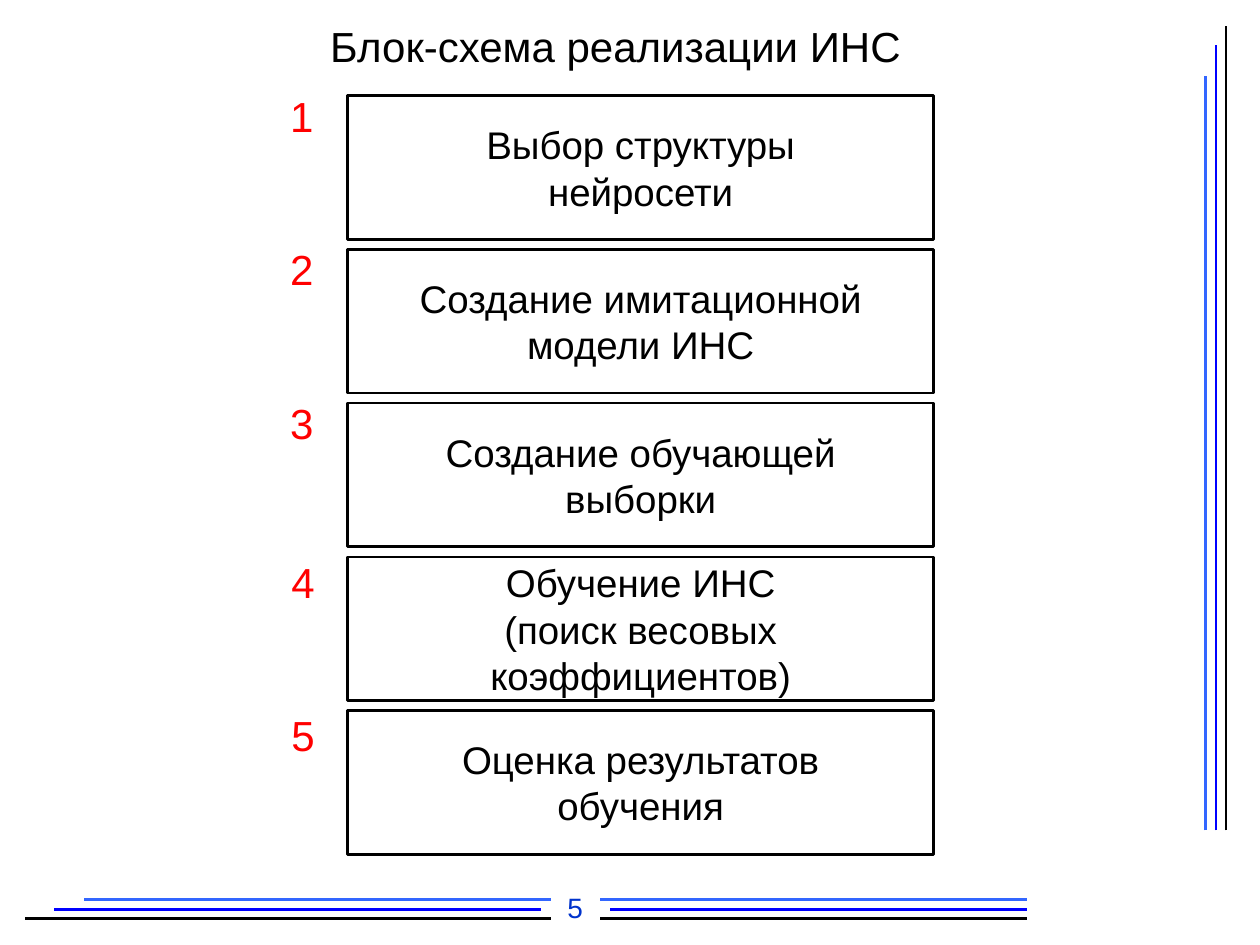
from dataclasses import dataclass

from lxml import etree
from pptx import Presentation
from pptx.dml.color import RGBColor
from pptx.enum.shapes import MSO_CONNECTOR, MSO_SHAPE
from pptx.enum.text import MSO_ANCHOR, PP_ALIGN
from pptx.oxml.ns import qn
from pptx.util import Inches, Pt


@dataclass(frozen=True)
class Theme:
    font: str = "Arial"
    ink: str = "000000"
    paper: str = "FFFFFF"
    number: str = "FF0000"
    page: str = "0033CC"
    stripes: tuple = ("000000", "0000FF", "3366FF")
    title_size: int = 24
    step_size: int = 22
    page_size: int = 16
    outline: float = 1.5
    footer_line: float = 1.75


THEME = Theme()

STEPS = [
    ["Выбор структуры", "нейросети"],
    ["Создание имитационной", "модели ИНС"],
    ["Создание обучающей", "выборки"],
    ["Обучение ИНС", "(поиск весовых", "коэффициентов)"],
    ["Оценка результатов", "обучения"],
]
NUMBER_OFFSETS = [(-0.67, -0.08)] * 3 + [(-0.66, -0.04)] * 2


def write_text(shape, lines, size, color, anchor=MSO_ANCHOR.MIDDLE, wrap=True):
    frame = shape.text_frame
    frame.word_wrap = wrap
    frame.vertical_anchor = anchor
    frame.text = "\n".join(lines)
    for paragraph in frame.paragraphs:
        paragraph.alignment = PP_ALIGN.CENTER
        paragraph.font.name = THEME.font
        paragraph.font.size = Pt(size)
        paragraph.font.color.rgb = RGBColor.from_string(color)


def add_text(slide, left, top, width, height, text, size, color,
             anchor=MSO_ANCHOR.MIDDLE):
    box = slide.shapes.add_textbox(
        Inches(left), Inches(top), Inches(width), Inches(height))
    write_text(box, [text], size, color, anchor)


def add_line(slide, start, end, color, width):
    line = slide.shapes.add_connector(
        MSO_CONNECTOR.STRAIGHT, *(Inches(value) for value in (*start, *end)))
    line.line.color.rgb = RGBColor.from_string(color)
    line.line.width = Pt(width)
    properties = line._element.find(qn("p:spPr"))
    etree.SubElement(properties, qn("a:effectLst"))


def place_title(slide, left, top, width, height):
    title = slide.shapes.title
    title.left, title.top = Inches(left), Inches(top)
    title.width, title.height = Inches(width), Inches(height)
    write_text(title, ["Блок-схема реализации ИНС"], THEME.title_size, THEME.ink)


def draw_side_stripes(slide, right, top, bottom):
    for index, (color, drop) in enumerate(zip(THEME.stripes, (0, 0.15, 0.39))):
        x = right - 0.08 * index
        add_line(slide, (x, bottom), (x, top + drop), color, THEME.outline)


def draw_footer(slide, left, right, bottom):
    left_insets = (0, 0.23, 0.47)
    inner_edges = ((4.17, 4.56), (4.09, 4.64), (4.17, 4.56))
    for index, color in enumerate(THEME.stripes):
        y = bottom - 0.075 * index
        left_end, right_start = inner_edges[index]
        add_line(slide, (left + left_end, y), (left + left_insets[index], y),
                 color, THEME.footer_line)
        add_line(slide, (right, y), (left + right_start, y),
                 color, THEME.footer_line)
    add_text(slide, left + 4.09, bottom - 0.27, 0.55, 0.37, "5",
             THEME.page_size, THEME.page, MSO_ANCHOR.TOP)


def draw_step(slide, number, lines, left, top, width, height):
    box = slide.shapes.add_shape(
        MSO_SHAPE.RECTANGLE,
        Inches(left), Inches(top), Inches(width), Inches(height))
    box.shadow.inherit = False
    box.fill.solid()
    box.fill.fore_color.rgb = RGBColor.from_string(THEME.paper)
    box.line.color.rgb = RGBColor.from_string(THEME.ink)
    box.line.width = Pt(THEME.outline)
    write_text(box, lines, THEME.step_size, THEME.ink, wrap=False)
    shift_x, shift_y = NUMBER_OFFSETS[number - 1]
    add_text(slide, left + shift_x, top + shift_y, 0.61, 0.47, str(number),
             THEME.title_size, THEME.number)


def draw_steps(slide, left, top, width, height, gap):
    for index, lines in enumerate(STEPS):
        draw_step(slide, index + 1, lines, left, top + index * (height + gap),
                  width, height)


def build():
    presentation = Presentation()
    presentation.slide_width = Inches(10)
    presentation.slide_height = Inches(7.5)
    slide = presentation.slides.add_slide(presentation.slide_layouts[5])
    place_title(slide, 0.13, 0.13, 9.51, 0.47)
    draw_side_stripes(slide, right=9.73, top=0.21, bottom=6.59)
    draw_footer(slide, left=0.2, right=8.15, bottom=7.29)
    draw_steps(slide, 2.76, 0.76, 4.65, 1.14, 0.08)
    presentation.save("out.pptx")


build()
